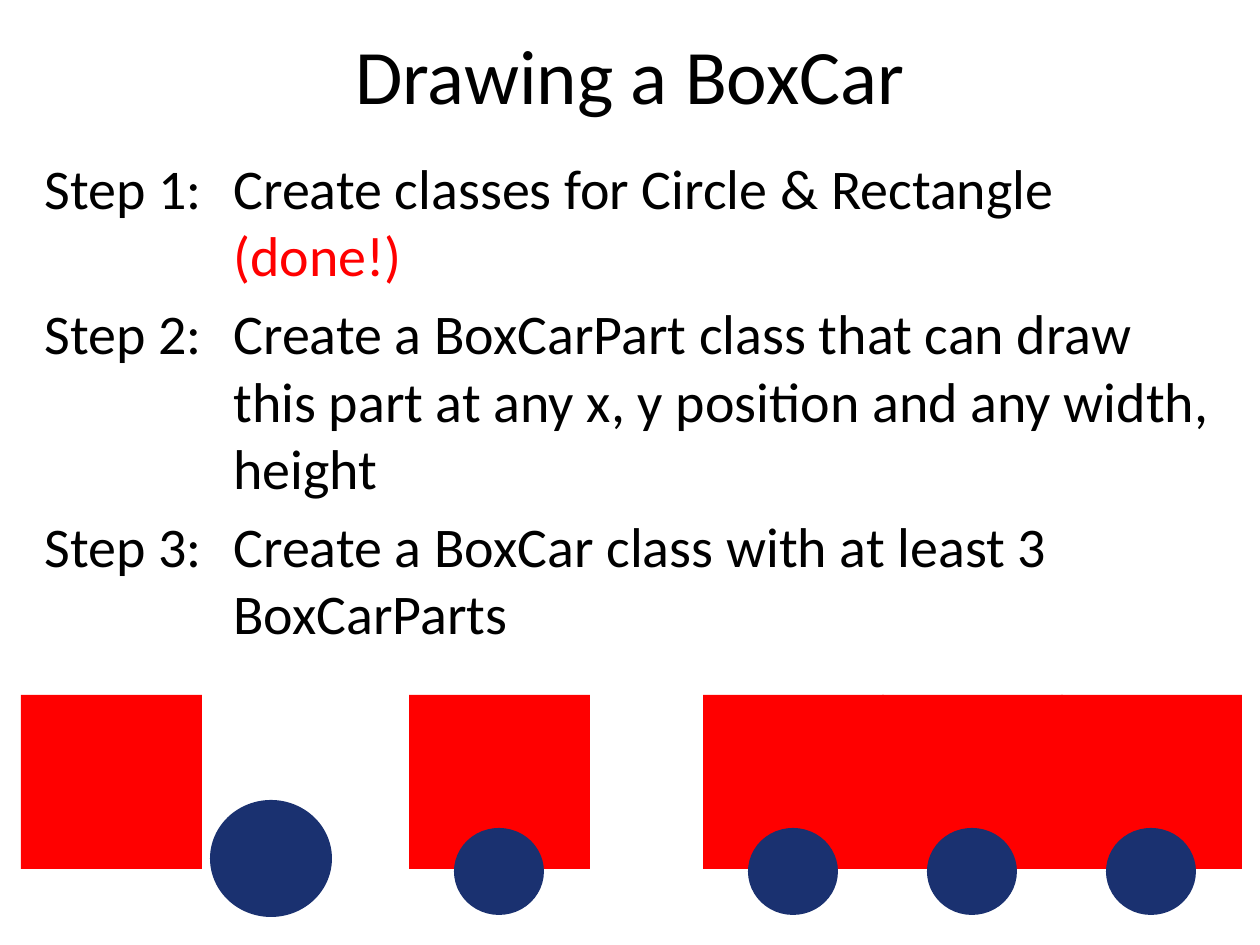
import pptx
import pptx.util
import pptx.dml.color
import pptx.enum.shapes
import pptx.enum.text

SCALE = 914400 / 126
FONT = "Calibri"
COLORS = {"paper": "FFFFFF", "text": "000000", "red": "FF0000", "wheel": "1A3170"}
SHAPES = pptx.enum.shapes.MSO_SHAPE
CAR_WIDTH, CAR_HEIGHT, CAR_PITCH = 181, 174, 179
STEPS = [
    [("Step 1:\tCreate classes for Circle & Rectangle ", "text"), ("(done!)", "red")],
    [("Step 2:\tCreate a BoxCarPart class that can draw this part at any x, y "
      "position and any width, height", "text")],
    [("Step 3:\tCreate a BoxCar class with at least 3 BoxCarParts", "text")],
]


def px(length):
    """Turn picture pixels into EMU."""
    return pptx.util.Emu(round(length * SCALE))


def rgb(name):
    """Look up a named colour."""
    return pptx.dml.color.RGBColor.from_string(COLORS[name])


def add_span(para, text, size, color):
    """Append one formatted run."""
    span = para.add_run()
    span.text = text
    span.font.name = FONT
    span.font.size = pptx.util.Pt(size)
    span.font.color.rgb = rgb(color)


def add_title(page, text, left, top, width, height):
    """Place and format the title placeholder."""
    box = page.shapes.title
    box.left, box.top, box.width, box.height = map(px, (left, top, width, height))
    box.text_frame.vertical_anchor = pptx.enum.text.MSO_ANCHOR.MIDDLE
    para = box.text_frame.paragraphs[0]
    para.alignment = pptx.enum.text.PP_ALIGN.CENTER
    add_span(para, text, 44, "text")


def add_steps(page, steps, left, top, width, height):
    """Write the steps as hanging paragraphs."""
    box = page.shapes.add_textbox(*map(px, (left, top, width, height)))
    frame = box.text_frame
    frame.word_wrap = True
    for index, spans in enumerate(steps):
        para = frame.add_paragraph() if index else frame.paragraphs[0]
        para.space_before = pptx.util.Pt(6.4)
        properties = para._p.get_or_add_pPr()
        properties.set("marL", str(px(189)))
        properties.set("indent", str(-px(189)))
        for text, color in spans:
            add_span(para, text, 32, color)


def add_part(shapes, kind, color, left, top, width, height):
    """Draw one plain filled shape."""
    part = shapes.add_shape(kind, *map(px, (left, top, width, height)))
    part.shadow.inherit = False
    part.fill.solid()
    part.fill.fore_color.rgb = rgb(color)
    part.line.fill.background()


def add_train(page, left, top, count):
    """Draw a group of adjoining box car parts."""
    group = page.shapes.add_group_shape()
    for index in range(count):
        x = left + index * CAR_PITCH
        add_part(group.shapes, SHAPES.RECTANGLE, "red", x, top, CAR_WIDTH, CAR_HEIGHT)
        add_part(group.shapes, SHAPES.OVAL, "wheel", x + 45, top + 133,
                 CAR_WIDTH // 2, CAR_HEIGHT // 2)


def add_loose_parts(page, left, top):
    """Draw the separate rectangle and circle."""
    add_part(page.shapes, SHAPES.RECTANGLE, "red", left, top, CAR_WIDTH, CAR_HEIGHT)
    add_part(page.shapes, SHAPES.OVAL, "wheel", left + 189, top + 105, 122, 117)


def build():
    """Build and save the slide."""
    deck = pptx.Presentation()
    deck.slide_width, deck.slide_height = px(1260), px(945)
    page = deck.slides.add_slide(deck.slide_layouts[5])
    page.background.fill.solid()
    page.background.fill.fore_color.rgb = rgb("paper")
    add_title(page, "Drawing a BoxCar", 63, 0, 1134, 147)
    add_steps(page, STEPS, 32, 147, 1207, 514)
    add_train(page, 409, 695, 1)
    add_train(page, 703, 695, 3)
    add_loose_parts(page, 21, 695)
    deck.save("out.pptx")


build()
